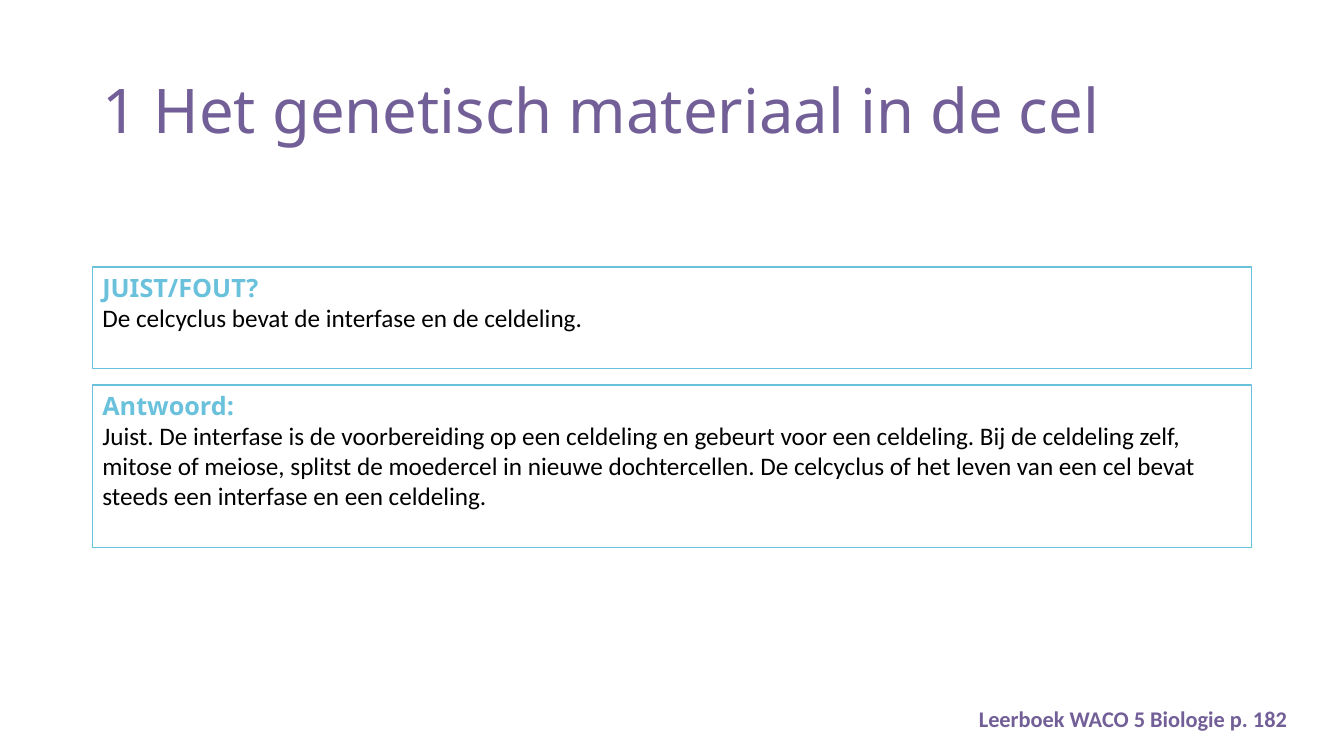
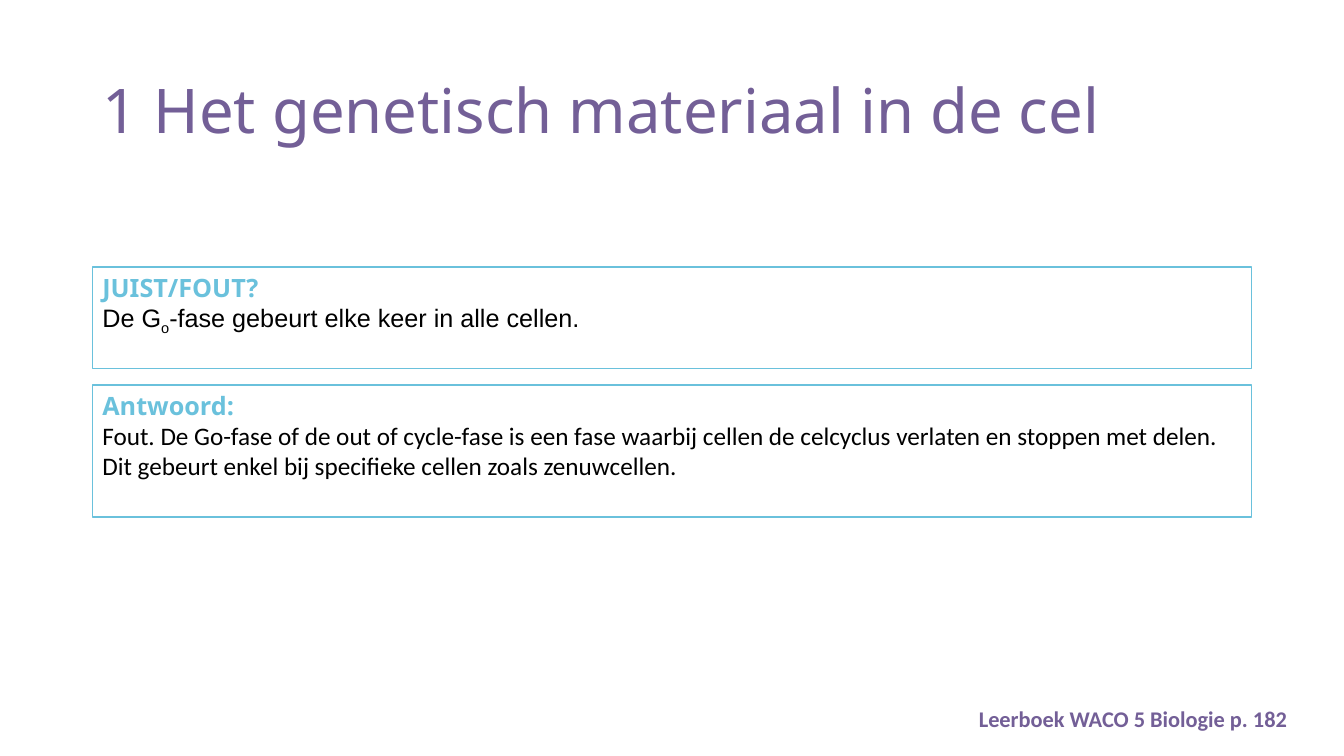
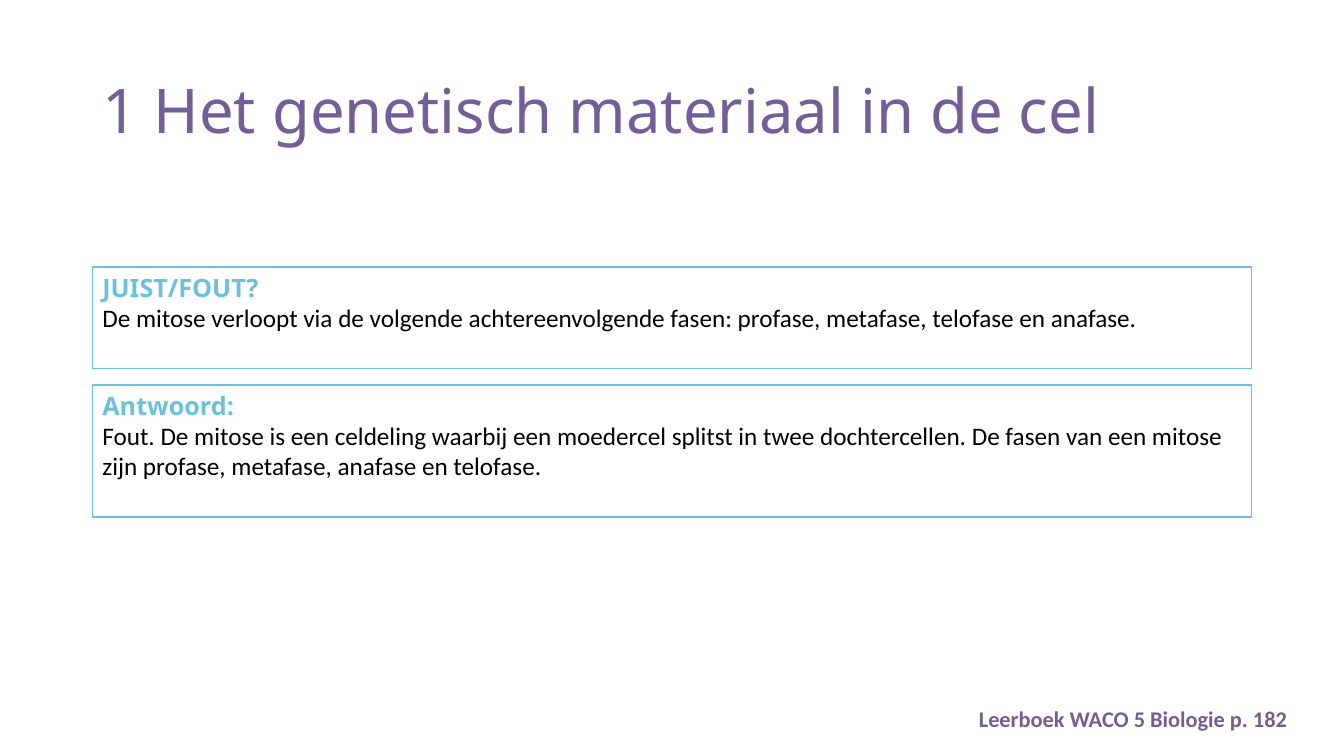
from pptx import Presentation
from pptx.dml.color import RGBColor as Rgb
from pptx.enum.shapes import MSO_SHAPE as Shape
from pptx.enum.text import MSO_ANCHOR as Anchor, PP_ALIGN as Align
from pptx.util import Cm, Pt

PURPLE = Rgb(0x73, 0x5F, 0x97)
BLUE = Rgb(0x6A, 0xC1, 0xDC)
BLACK = Rgb(0, 0, 0)
HEAD, BODY = "Noto Sans", "Calibri"

# Card layout in cm
LEFT, TOP, WIDTH = 2.33, 6.73, 29.21
BASE, LINE, GAP = 1.79, 0.77, 0.41

TITLE = "1 Het genetisch materiaal in de cel"
SOURCE = "Leerboek WACO 5 Biologie p. 182"

# Per slide: question runs (text, is subscript), its font, answer, answer lines
QUIZ = [
    ([("De celcyclus bevat de interfase en de celdeling.", False)], BODY,
     "Juist. De interfase is de voorbereiding op een celdeling en gebeurt voor "
     "een celdeling. Bij de celdeling zelf, mitose of meiose, splitst de "
     "moedercel in nieuwe dochtercellen. De celcyclus of het leven van een cel "
     "bevat steeds een interfase en een celdeling.", 3),
    ([("De G", False), ("o", True),
      ("-fase gebeurt elke keer in alle cellen.", False)], "Arial",
     "Fout. De Go-fase of de out of cycle-fase is een fase waarbij cellen de "
     "celcyclus verlaten en stoppen met delen. Dit gebeurt enkel bij "
     "specifieke cellen zoals zenuwcellen.", 2),
    ([("De mitose verloopt via de volgende achtereenvolgende fasen: profase, "
       "metafase, telofase en anafase.", False)], BODY,
     "Fout. De mitose is een celdeling waarbij een moedercel splitst in twee "
     "dochtercellen. De fasen van een mitose zijn profase, metafase, anafase "
     "en telofase.", 2),
]


def add_run(para, text, face, size, color, bold=False, sub=False):
    run = para.add_run()
    run.text = text
    font = run.font
    font.name, font.size, font.bold = face, Pt(size), bold
    font.color.rgb = color
    if sub:
        run._r.get_or_add_rPr().set("baseline", "-25000")


def add_box(slide, x, y, w, h):
    frame = slide.shapes.add_textbox(Cm(x), Cm(y), Cm(w), Cm(h)).text_frame
    frame.word_wrap = True
    return frame


def add_title(slide):
    frame = add_box(slide, LEFT, 1.02, WIDTH, 3.68)
    frame.vertical_anchor = Anchor.MIDDLE
    para = frame.paragraphs[0]
    para.line_spacing = 0.9
    add_run(para, TITLE, HEAD, 44, PURPLE)


def add_footer(slide):
    para = add_box(slide, 15.75, 17.65, 16.94, 0.94).paragraphs[0]
    para.alignment = Align.RIGHT
    add_run(para, SOURCE, BODY, 16, PURPLE, bold=True)


def add_card(slide, y, lines, label, parts, face):
    """Draw an outlined card and return the top of the next one."""
    high = BASE + LINE * lines
    card = slide.shapes.add_shape(
        Shape.RECTANGLE, Cm(LEFT), Cm(y), Cm(WIDTH), Cm(high))
    card.shadow.inherit = False
    card.fill.background()
    card.line.color.rgb = BLUE
    card.line.width = Pt(1)
    frame = card.text_frame
    frame.word_wrap = True
    frame.vertical_anchor = Anchor.TOP
    head, body = frame.paragraphs[0], frame.add_paragraph()
    head.alignment = body.alignment = Align.LEFT
    add_run(head, label, HEAD, 18, BLUE, bold=True)
    for text, sub in parts:
        add_run(body, text, face, 18, BLACK, sub=sub)
    return y + high + GAP


def add_quiz(deck, parts, face, answer, lines):
    slide = deck.slides.add_slide(deck.slide_layouts[6])
    add_title(slide)
    y = add_card(slide, TOP, 1, "JUIST/FOUT?", parts, face)
    add_card(slide, y, lines, "Antwoord:", [(answer, False)], BODY)
    add_footer(slide)


def main():
    deck = Presentation()
    deck.slide_width, deck.slide_height = Cm(33.87), Cm(19.05)
    for item in QUIZ:
        add_quiz(deck, *item)
    deck.save("out.pptx")


if __name__ == "__main__":
    main()
